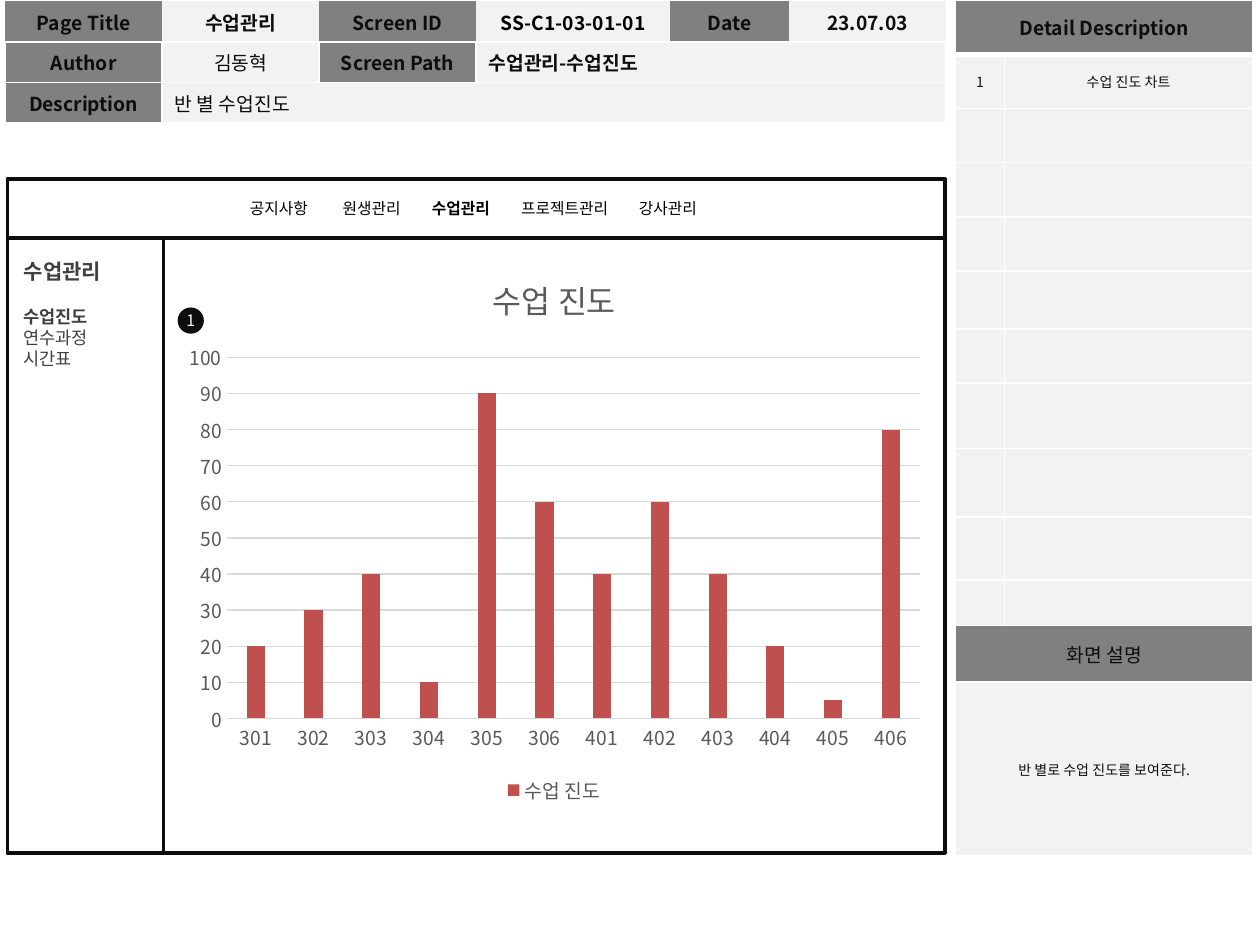
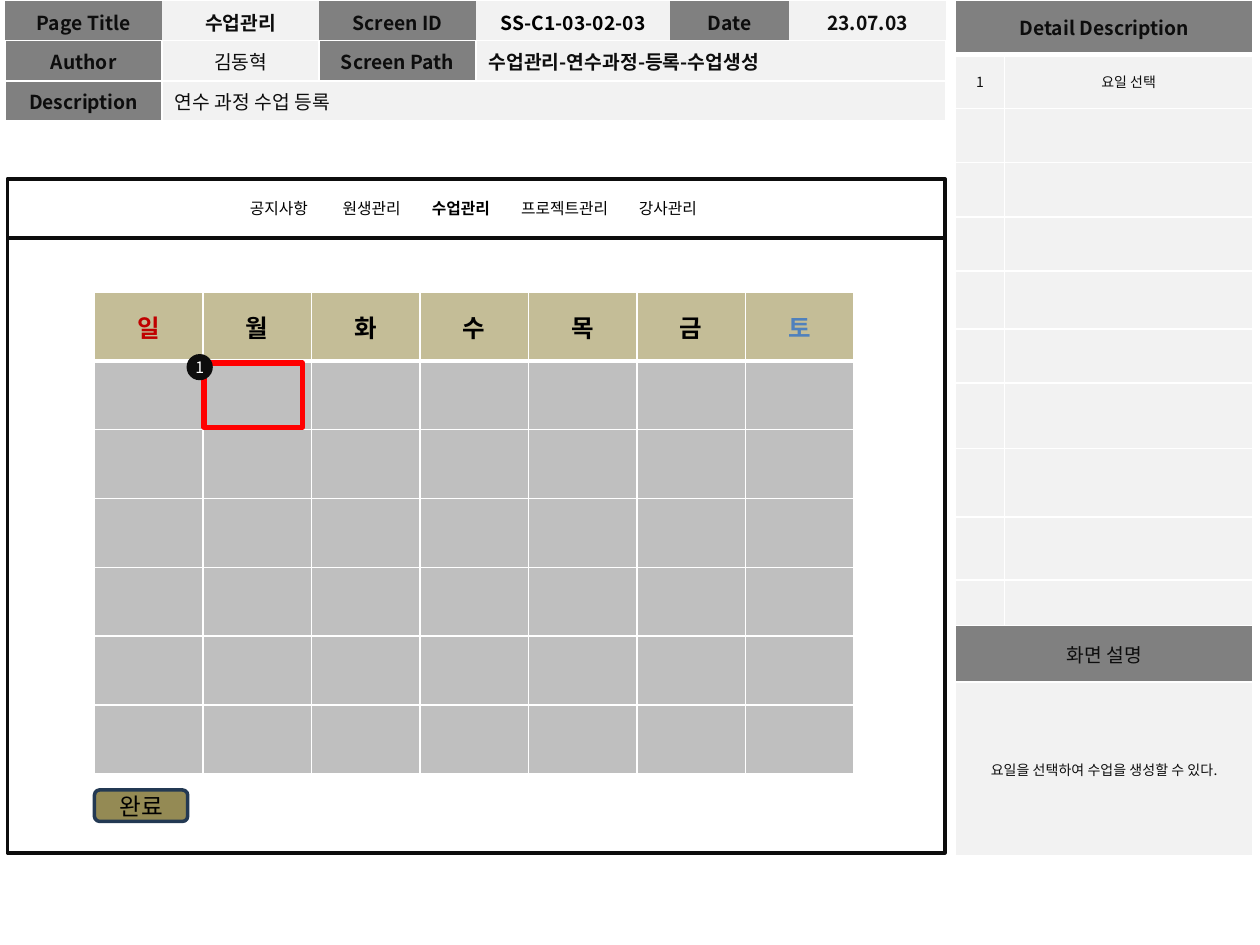
from dataclasses import dataclass

from lxml import etree
from pptx import Presentation
from pptx.chart.data import CategoryChartData
from pptx.dml.color import RGBColor
from pptx.enum import chart as charts, shapes, text
from pptx.oxml.ns import qn
from pptx.util import Pt

CENTER, LEFT = text.PP_ALIGN.CENTER, text.PP_ALIGN.LEFT
MIDDLE = text.MSO_ANCHOR.MIDDLE
NO_TABLE_STYLE = "{2D5ABB26-0587-4C30-8999-92F81FD0307C}"


@dataclass(frozen=True)
class Theme:
    font: str = "Noto Sans CJK KR"
    ink: str = "0D0D0D"
    black: str = "000000"
    white: str = "FFFFFF"
    label: str = "808080"
    value: str = "F2F2F2"
    side_text: str = "404040"
    chart_text: str = "595959"
    grid: str = "D9D9D9"
    bar: str = "C0504D"
    day_head: str = "C4BD97"
    day: str = "BFBFBF"
    sunday: str = "C00000"
    saturday: str = "4F81BD"
    button: str = "948A54"
    button_line: str = "233953"
    highlight: str = "FF0000"
    note_size: float = 8
    nav_size: float = 9
    item_size: float = 10
    body_size: float = 11
    side_title_size: float = 12
    button_size: float = 13.5
    day_size: float = 14
    chart_title_size: float = 18


THEME = Theme()

# Page frame shared by both slides
FRAME_LEFT, FRAME_TOP, FRAME_WIDTH = 4.3, 136, 535.7
FRAME_HEIGHT, NAV_TOP, SIDE_WIDTH = 351.4, 102.2, 89.3
NAV_ITEMS = ["공지사항", "원생관리", "수업관리", "프로젝트관리", "강사관리"]
NAV_STOPS = [53, 104, 155, 222.3]
CURRENT = "수업관리"


@dataclass
class Cell:
    text: str = ""
    fill: str = THEME.value
    size: float = THEME.body_size
    bold: bool = False
    align: int = CENTER
    color: str = THEME.ink


def label(words, bold=True):
    return Cell(words, THEME.label, bold=bold)


def note(words=""):
    return Cell(words, size=THEME.note_size)


def rgb(color):
    return RGBColor.from_string(color)


def style_font(font, size, color, bold=False):
    font.name, font.size, font.bold = THEME.font, Pt(size), bold
    font.color.rgb = rgb(color)


def style_span(span, size, color, bold=False):
    style_font(span.font, size, color, bold)
    latin = span.font._element.find(qn("a:latin"))
    east_asian = etree.Element(qn("a:ea"), typeface=THEME.font)
    latin.addnext(east_asian)


def style_para(para, size, color, bold=False, align=LEFT):
    para.alignment = align
    for span in para.runs:
        style_span(span, size, color, bold)


# Tables

def set_border(cell, side, width):
    line = etree.SubElement(cell._tc.get_or_add_tcPr(), qn(f"a:ln{side}"),
                            w=str(Pt(width)))
    fill = etree.SubElement(line, qn("a:solidFill"))
    etree.SubElement(fill, qn("a:srgbClr"), val=THEME.white)


def style_cell(cell, spec, sides, bottom):
    for side in sides:
        set_border(cell, side, bottom if side == "B" else 1)
    cell.fill.solid()
    cell.fill.fore_color.rgb = rgb(spec.fill)
    cell.vertical_anchor = MIDDLE
    para = cell.text_frame.paragraphs[0]
    if spec.text:
        para.text = spec.text
        style_para(para, spec.size, spec.color, spec.bold, spec.align)
    else:
        etree.SubElement(para._p, qn("a:endParaRPr"),
                         sz=str(int(spec.size * 100)))


def add_grid(slide, left, top, widths, heights, rows,
             head_sides="LRTB", head_bottom=3):
    """Draw rows of Cell; None extends the cell on its left."""
    table = slide.shapes.add_table(
        len(heights), len(widths), Pt(left), Pt(top),
        Pt(sum(widths)), Pt(sum(heights))).table
    table.first_row = table.horz_banding = False
    table._tbl.tblPr.find(qn("a:tableStyleId")).text = NO_TABLE_STYLE
    for column, width in zip(table.columns, widths):
        column.width = Pt(width)
    for r, (row, height) in enumerate(zip(rows, heights)):
        table.rows[r].height = Pt(height)
        sides, bottom = ("LRTB", 1) if r else (head_sides, head_bottom)
        start = 0
        for c, spec in enumerate(row):
            if spec:
                start = c
            elif c + 1 == len(row) or row[c + 1]:
                table.cell(r, start).merge(table.cell(r, c))
            shown = spec or Cell(fill=row[start].fill, size=THEME.note_size)
            style_cell(table.cell(r, c), shown, sides, bottom)


def add_header(slide, screen_id, screen_path, description):
    rows = [
        [label("Page Title"), Cell(CURRENT, bold=True),
         label("Screen ID"), Cell(screen_id, bold=True, color=THEME.black),
         label("Date"), Cell("23.07.03", bold=True)],
        [label("Author"), Cell("김동혁"), label("Screen Path"),
         Cell(screen_path, bold=True, align=LEFT), None, None],
        [label("Description"), Cell(description, align=LEFT)] + [None] * 4,
    ]
    add_grid(slide, 3, 0.7, [89.7, 89.7, 89.7, 110.9, 68, 89.7],
             [22.5, 23, 23], rows, head_sides="B", head_bottom=1)


def add_details(slide, first_item, summary):
    heights = [31] * 5 + [33, 31, 37.5, 39, 36, 26, 32.5, 99.3]
    rows = [[label("Detail Description"), None],
            [note("1"), note(first_item)]]
    rows += [[note(), note()] for _ in range(9)]
    rows += [[label("화면 설명", bold=False), None], [note(summary), None]]
    add_grid(slide, 546, 0, [28, 142], heights, rows)


# Shapes and text boxes

def add_box(slide, kind, left, top, width, height, fill=None, line=None,
            weight=2):
    box = slide.shapes.add_shape(kind, Pt(left), Pt(top), Pt(width), Pt(height))
    box.shadow.inherit = False
    if fill:
        box.fill.solid()
        box.fill.fore_color.rgb = rgb(fill)
    else:
        box.fill.background()
    if line:
        box.line.color.rgb = rgb(line)
        box.line.width = Pt(weight)
    else:
        box.line.fill.background()
    return box


def add_rect(slide, left, top, width, height, line=THEME.ink, weight=2):
    return add_box(slide, shapes.MSO_SHAPE.RECTANGLE, left, top, width, height,
                   line=line, weight=weight)


def put_caption(box, words, size, color):
    frame = box.text_frame
    frame.margin_left = frame.margin_right = 0
    frame.margin_top = frame.margin_bottom = 0
    frame.word_wrap = False
    frame.vertical_anchor = MIDDLE
    frame.text = words
    style_para(frame.paragraphs[0], size, color, align=CENTER)


def add_badge(slide, left, top, number):
    badge = add_box(slide, shapes.MSO_SHAPE.OVAL, left, top, 15, 15,
                    fill=THEME.ink)
    put_caption(badge, number, THEME.nav_size, THEME.white)


def add_nav(slide):
    box = slide.shapes.add_textbox(Pt(117.4), Pt(110.2), Pt(306), Pt(18))
    frame = box.text_frame
    frame.word_wrap = False
    frame.margin_left = Pt(25.4)
    para = frame.paragraphs[0]
    para.line_spacing = Pt(THEME.nav_size * 1.2)
    for i, item in enumerate(NAV_ITEMS):
        span = para.add_run()
        span.text = "\t" + item if i else item
        style_span(span, THEME.nav_size, THEME.black, item == CURRENT)
    para.alignment = LEFT
    stops = etree.SubElement(para._p.get_or_add_pPr(), qn("a:tabLst"))
    for stop in NAV_STOPS:
        etree.SubElement(stops, qn("a:tab"), pos=str(Pt(stop)), algn="l")


def add_side_menu(slide):
    add_rect(slide, FRAME_LEFT, FRAME_TOP, SIDE_WIDTH, FRAME_HEIGHT)
    box = slide.shapes.add_textbox(Pt(6.5), Pt(144), Pt(63.4), Pt(71.3))
    frame = box.text_frame
    frame.word_wrap = False
    frame.text = "수업관리\n수업진도\n연수과정\n시간표"
    for i, para in enumerate(frame.paragraphs):
        size = THEME.item_size if i else THEME.side_title_size
        style_para(para, size, THEME.side_text, bold=i < 2)
        para.line_spacing = Pt(size * 1.2)
    frame.paragraphs[1].space_before = Pt(13.2)


# Slide contents

def add_progress_chart(slide):
    name = "수업 진도"
    data = CategoryChartData()
    data.categories = [str(floor + room) for floor in (300, 400)
                       for room in range(1, 7)]
    data.add_series(name, [20, 30, 40, 10, 90, 60, 40, 60, 40, 20, 5, 80])
    chart = slide.shapes.add_chart(
        charts.XL_CHART_TYPE.COLUMN_CLUSTERED, Pt(99.4), Pt(142.6), Pt(434.9),
        Pt(319.7), data).chart
    style_font(chart.font, THEME.item_size, THEME.black)
    chart.has_title = True
    chart.chart_title.text_frame.text = name
    style_para(chart.chart_title.text_frame.paragraphs[0],
               THEME.chart_title_size, THEME.chart_text, align=CENTER)
    chart.chart_title.include_in_layout = False
    chart.has_legend = True
    chart.legend.position = charts.XL_LEGEND_POSITION.BOTTOM
    chart.legend.include_in_layout = False
    style_font(chart.legend.font, THEME.body_size, THEME.chart_text)

    plot = chart.plots[0]
    plot.gap_width, plot.overlap, plot.vary_by_categories = 219, -27, False
    bars = plot.series[0].format.fill
    bars.solid()
    bars.fore_color.rgb = rgb(THEME.bar)

    rooms, values = chart.category_axis, chart.value_axis
    for axis in (rooms, values):
        axis.major_tick_mark = axis.minor_tick_mark = charts.XL_TICK_MARK.NONE
        style_font(axis.tick_labels.font, THEME.body_size, THEME.chart_text)
    values.minimum_scale, values.maximum_scale, values.major_unit = 0, 100, 10
    values.format.line.fill.background()
    for line in (rooms.format.line, values.major_gridlines.format.line):
        line.color.rgb = rgb(THEME.grid)
        line.width = Pt(0.75)


def add_calendar(slide):
    colors = {"일": THEME.sunday, "토": THEME.saturday}
    head = [Cell(day, THEME.day_head, THEME.day_size, True,
                 color=colors.get(day, THEME.black)) for day in "일월화수목금토"]
    weeks = [[Cell(fill=THEME.day)] * 7 for _ in range(6)]
    add_grid(slide, 54, 167, [62] * 7, [39.3] * 7, [head] + weeks)
    add_rect(slide, 116.6, 207.4, 56.2, 36.7, THEME.highlight, 3)


def add_done_button(slide):
    button = add_box(slide, shapes.MSO_SHAPE.ROUNDED_RECTANGLE, 54, 451.4,
                     53.3, 18, THEME.button, THEME.button_line)
    put_caption(button, "완료", THEME.button_size, THEME.black)


def add_screen(deck, screen_id, screen_path, description, first_item, summary):
    slide = deck.slides.add_slide(deck.slide_layouts[6])
    add_header(slide, screen_id, screen_path, description)
    add_details(slide, first_item, summary)
    add_rect(slide, FRAME_LEFT, FRAME_TOP, FRAME_WIDTH, FRAME_HEIGHT)
    add_rect(slide, FRAME_LEFT, NAV_TOP, FRAME_WIDTH, FRAME_TOP - NAV_TOP)
    add_nav(slide)
    return slide


def main():
    deck = Presentation()
    deck.slide_width, deck.slide_height = Pt(720), Pt(540)

    # Class progress
    page = add_screen(deck, "SS-C1-03-01-01", "수업관리-수업진도",
                      "반 별 수업진도", "수업 진도 차트",
                      "반 별로 수업 진도를 보여준다.")
    add_progress_chart(page)
    add_side_menu(page)
    add_badge(page, 101.5, 175.7, "1")

    # Class creation
    page = add_screen(deck, "SS-C1-03-02-03", "수업관리-연수과정-등록-수업생성",
                      "연수 과정 수업 등록", "요일 선택",
                      "요일을 선택하여 수업을 생성할 수 있다.")
    add_calendar(page)
    add_done_button(page)
    add_badge(page, 106.6, 202.3, "1")

    deck.save("out.pptx")


if __name__ == "__main__":
    main()
